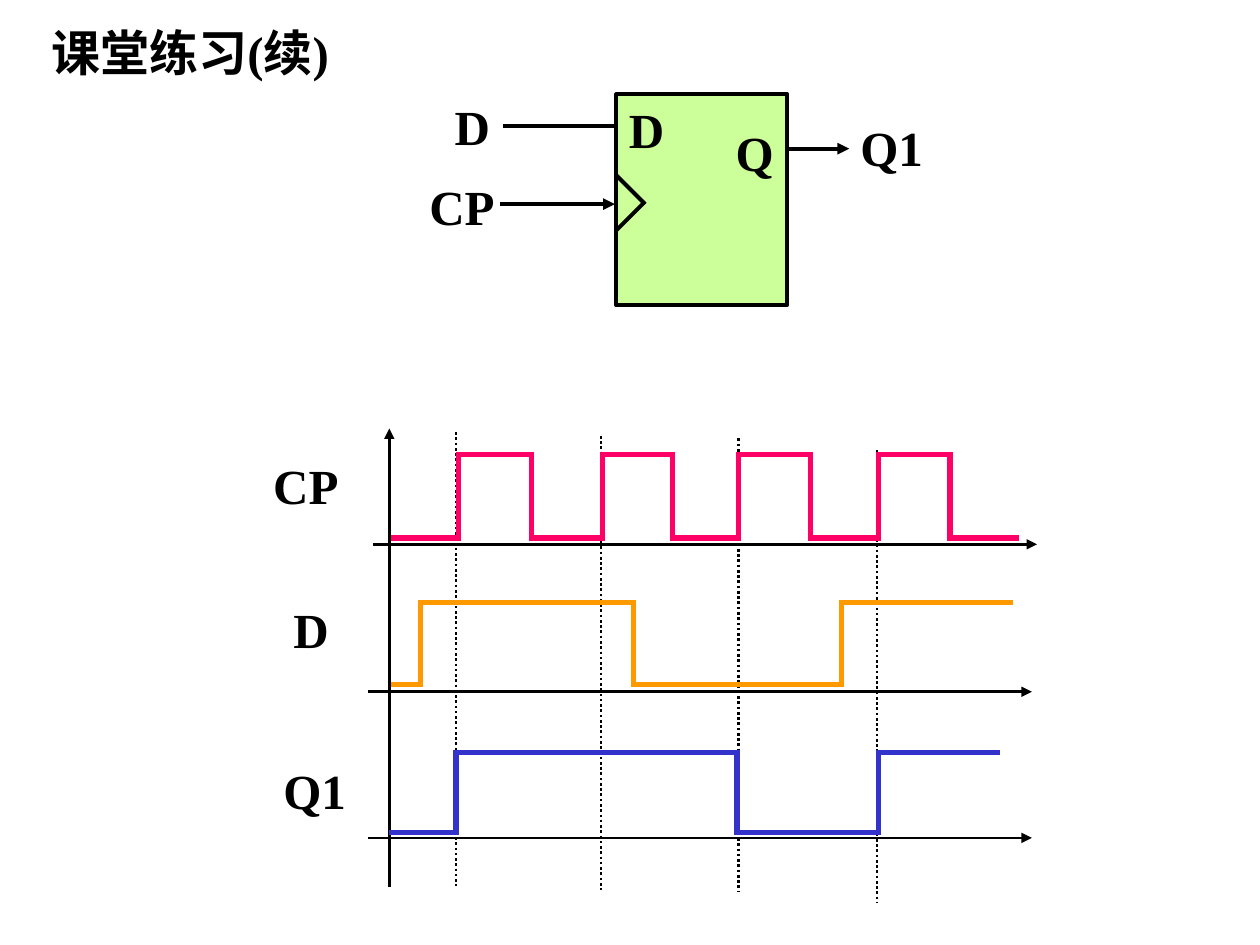
from dataclasses import dataclass

import pptx
import pptx.dml.color
import pptx.enum.dml
import pptx.enum.lang
import pptx.enum.shapes
import pptx.enum.text
import pptx.oxml.ns
import pptx.util
from lxml import etree
from pptx.util import Inches

BLACK = pptx.dml.color.RGBColor(0x00, 0x00, 0x00)
GREEN = pptx.dml.color.RGBColor(0xCC, 0xFF, 0x99)
PINK = pptx.dml.color.RGBColor(0xFF, 0x00, 0x66)
ORANGE = pptx.dml.color.RGBColor(0xFF, 0x99, 0x00)
BLUE = pptx.dml.color.RGBColor(0x33, 0x33, 0xCC)

FONT = "Times New Roman"
TEXT_HEIGHT = 0.57
OVERSHOOT = 0.02
ALIGN = pptx.enum.text.PP_ALIGN
ANCHOR = pptx.enum.text.MSO_ANCHOR


@dataclass
class Label:
    text: str
    left: float
    top: float
    width: float
    centered: bool = False
    wrap: bool = False


@dataclass
class Line:
    start: tuple[float, float]
    end: tuple[float, float]
    color: pptx.dml.color.RGBColor = BLACK
    width: float = 2.25
    arrow: bool = False
    dotted: bool = False


@dataclass
class Wave:
    color: pptx.dml.color.RGBColor
    start: float
    end: float
    high: float
    low: float
    edges: list[float]


LABELS = [
    Label("课堂练习(续)", 0.3, 0.13, 2.42, centered=True, wrap=True),
    Label("D", 4.89, 0.74, 0.48, centered=True),
    Label("Q", 5.74, 0.92, 0.5, centered=True),
    Label("D", 3.51, 0.72, 0.57),
    Label("CP", 3.31, 1.35, 0.73),
    Label("Q1", 6.73, 0.88, 0.79),
    Label("CP", 2.07, 3.57, 0.75),
    Label("D", 2.23, 4.71, 0.67),
    Label("Q1", 2.15, 5.99, 0.75),
]

FLIP_FLOP_LINES = [
    Line((3.99, 1), (4.89, 1)),
    Line((3.97, 1.62), (4.88, 1.62), arrow=True),
    Line((4.89, 1.39), (5.12, 1.62)),
    Line((5.12, 1.6), (4.89, 1.83)),
    Line((6.25, 1.18), (6.74, 1.18), arrow=True),
]

CLOCK_GUIDES = [
    Line((x, top), (x, top + 3.6), width=1.5, dotted=True)
    for x, top in [(3.62, 3.43), (4.77, 3.46), (5.86, 3.48), (6.96, 3.57)]
]

AXES = [
    Line((left, y), (left + 5.27, y), width=1.5, arrow=True)
    for left, y in [(2.96, 4.32), (2.92, 5.49), (2.92, 6.65)]
] + [Line((3.09, 7.04), (3.09, 3.4), width=1.5, arrow=True)]

WAVES = [
    Wave(PINK, 3.1, 8.09, 3.61, 4.27, [3.64, 4.22, 4.78, 5.34, 5.86, 6.43, 6.97, 7.54]),
    Wave(ORANGE, 3.1, 8.04, 4.78, 5.43, [3.34, 5.03, 6.68]),
    Wave(BLUE, 3.09, 7.94, 5.97, 6.61, [3.62, 5.85, 6.97]),
]


def add_label(slide: pptx.slide.Slide, label: Label) -> None:
    box = slide.shapes.add_textbox(
        Inches(label.left), Inches(label.top), Inches(label.width), Inches(TEXT_HEIGHT)
    )
    frame = box.text_frame
    frame.word_wrap = label.wrap
    frame.vertical_anchor = ANCHOR.MIDDLE if label.centered else ANCHOR.TOP
    paragraph = frame.paragraphs[0]
    paragraph.text = label.text
    paragraph.alignment = ALIGN.CENTER if label.centered else ALIGN.LEFT
    font = paragraph.font
    font.name = FONT
    font.size = pptx.util.Pt(28)
    font.bold = True
    font.color.rgb = BLACK
    if label.wrap:
        paragraph.runs[0].font.language_id = pptx.enum.lang.MSO_LANGUAGE_ID.SIMPLIFIED_CHINESE


def add_line(slide: pptx.slide.Slide, line: Line) -> None:
    connector = slide.shapes.add_connector(
        pptx.enum.shapes.MSO_CONNECTOR.STRAIGHT,
        *(Inches(value) for value in line.start + line.end),
    )
    connector.line.color.rgb = line.color
    connector.line.width = pptx.util.Pt(line.width)
    if line.dotted:
        connector.line.dash_style = pptx.enum.dml.MSO_LINE.ROUND_DOT
    if line.arrow:
        outline = connector.line._get_or_add_ln()
        etree.SubElement(outline, pptx.oxml.ns.qn("a:tailEnd"), type="triangle")
    etree.SubElement(connector._element.spPr, pptx.oxml.ns.qn("a:effectLst"))


def add_wave(slide: pptx.slide.Slide, wave: Wave) -> None:
    stops = [wave.start, *wave.edges, wave.end]
    for index, (left, right) in enumerate(zip(stops, stops[1:])):
        level = wave.high if index % 2 else wave.low
        add_line(slide, Line((left, level), (right, level), wave.color, 3))
    for x in wave.edges:
        top, bottom = wave.high - OVERSHOOT, wave.low + OVERSHOOT
        add_line(slide, Line((x, top), (x, bottom), wave.color, 3))


def add_flip_flop(slide: pptx.slide.Slide) -> None:
    body = slide.shapes.add_shape(
        pptx.enum.shapes.MSO_SHAPE.RECTANGLE,
        Inches(4.89), Inches(0.75), Inches(1.36), Inches(1.67),
    )
    body.shadow.inherit = False
    body.fill.solid()
    body.fill.fore_color.rgb = GREEN
    body.line.color.rgb = BLACK
    body.line.width = pptx.util.Pt(2.25)


def main() -> None:
    presentation = pptx.Presentation()
    presentation.slide_width = Inches(10)
    presentation.slide_height = Inches(7.5)
    slide = presentation.slides.add_slide(presentation.slide_layouts[6])
    add_flip_flop(slide)
    for label in LABELS:
        add_label(slide, label)
    for line in FLIP_FLOP_LINES + CLOCK_GUIDES + AXES:
        add_line(slide, line)
    for wave in WAVES:
        add_wave(slide, wave)
    presentation.save("out.pptx")


if __name__ == "__main__":
    main()
